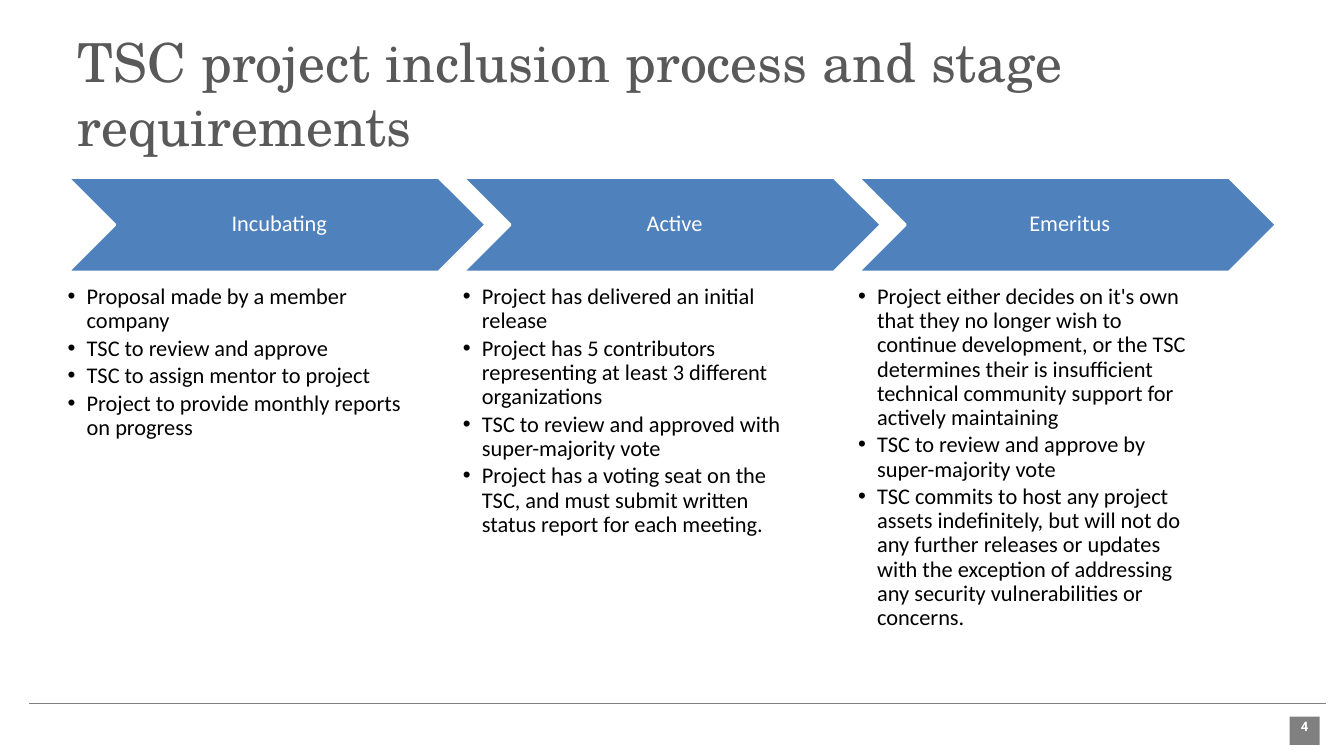
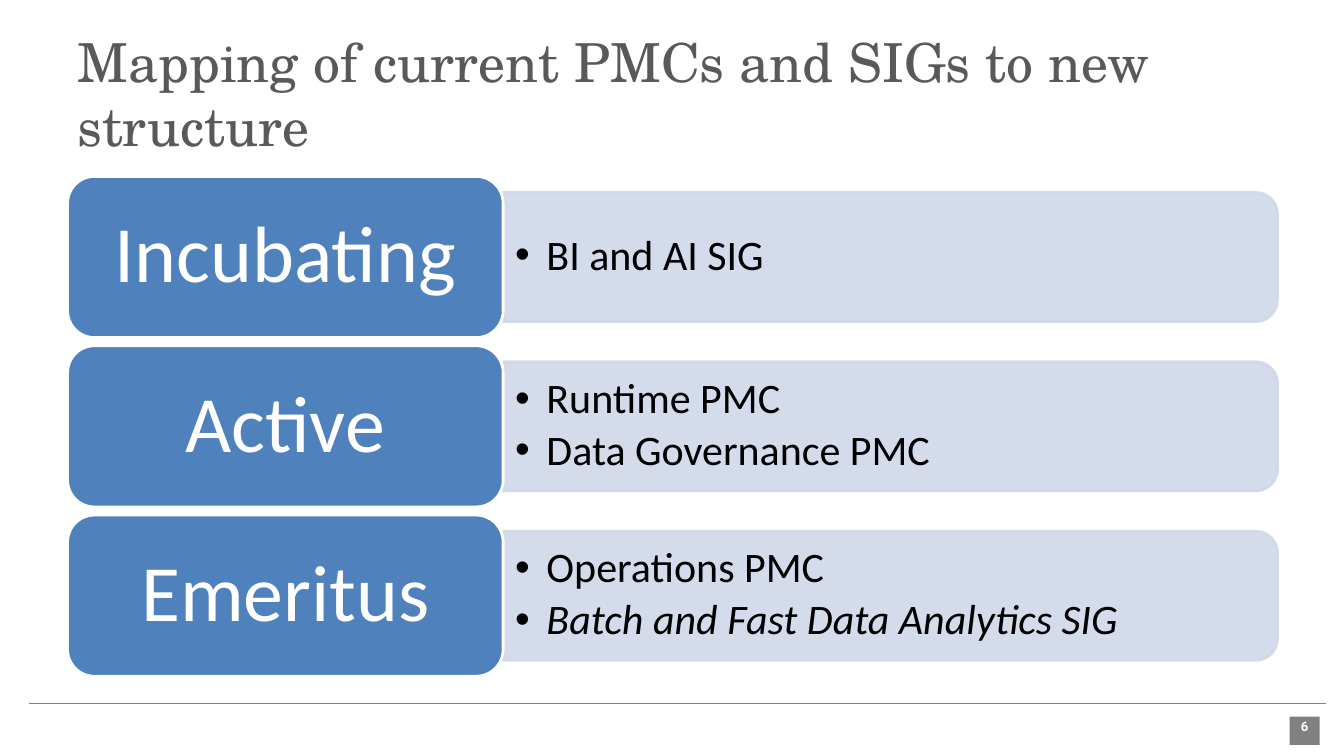
from lxml.etree import SubElement
from pptx import Presentation
from pptx.dml.color import RGBColor
from pptx.enum.shapes import MSO_CONNECTOR as Connector, MSO_SHAPE as Shape
from pptx.enum.text import MSO_ANCHOR as Anchor, MSO_AUTO_SIZE as AutoSize, PP_ALIGN as Align
from pptx.oxml.ns import qn
from pptx.util import Inches, Pt

BLUE = RGBColor(0x4F, 0x81, 0xBD)
PALE_BLUE = RGBColor(0xD0, 0xD8, 0xE8)
GRAY = RGBColor(0x80, 0x80, 0x80)
TITLE_GRAY = RGBColor(0x59, 0x59, 0x59)
WHITE = RGBColor(0xFF, 0xFF, 0xFF)
BLACK = RGBColor(0x00, 0x00, 0x00)
LEFT = 0.67

presentation = Presentation()
presentation.slide_width = Inches(13.33)
presentation.slide_height = Inches(7.5)


def write(shape, lines, size, color, insets, anchor=Anchor.MIDDLE, font="Calibri", bold=False, hang=0, italic_line=None):
    frame = shape.text_frame
    frame.word_wrap = True
    frame.auto_size = AutoSize.NONE
    frame.vertical_anchor = anchor
    frame.margin_left, frame.margin_top, frame.margin_right, frame.margin_bottom = map(Inches, insets)
    for index, line in enumerate(lines):
        paragraph = frame.paragraphs[0] if index == 0 else frame.add_paragraph()
        paragraph.alignment = Align.LEFT if hang else Align.CENTER
        paragraph.line_spacing = 0.9
        if hang:
            paragraph.space_after = Pt(size * 0.15)
            properties = paragraph._p.get_or_add_pPr()
            properties.set("marL", str(Inches(hang)))
            properties.set("indent", str(-Inches(hang)))
            SubElement(properties, qn("a:buFont"), typeface="Arial")
            SubElement(properties, qn("a:buChar"), char="•")
        run = paragraph.add_run()
        run.text = line
        run.font.name = font
        run.font.size = Pt(size)
        run.font.bold = bold
        run.font.italic = line == italic_line
        run.font.color.rgb = color


def add_slide(title, number):
    slide = presentation.slides.add_slide(presentation.slide_layouts[5])

    rule = slide.shapes.add_connector(Connector.STRAIGHT, Inches(0.29), Inches(6.98), Inches(13.15), Inches(6.98))
    rule.line.color.rgb = GRAY
    rule.line.width = Pt(0.75)
    SubElement(rule._element.spPr, qn("a:effectLst"))

    badge = slide.shapes.add_shape(Shape.RECTANGLE, Inches(12.79), Inches(7.11), Inches(0.3), Inches(0.28))
    badge.shadow.inherit = False
    badge.fill.solid()
    badge.fill.fore_color.rgb = GRAY
    badge.line.fill.background()
    write(badge, [number], 9.3, WHITE, (0, 0, 0, 0.06), font="Roboto", bold=True)

    heading = slide.shapes.title
    heading.left, heading.top = Inches(LEFT), Inches(0.3)
    heading.width, heading.height = Inches(12), Inches(1.25)
    heading.text_frame.auto_size = AutoSize.NONE
    heading.text_frame.vertical_anchor = Anchor.MIDDLE
    paragraph = heading.text_frame.paragraphs[0]
    paragraph.alignment = Align.LEFT
    run = paragraph.add_run()
    run.text = title
    run.font.name = "TeX Gyre Schola"
    run.font.size = Pt(38.4)
    run.font.color.rgb = TITLE_GRAY
    return slide


stages = [
    ("Incubating", [
        "Proposal made by a member company",
        "TSC to review and approve",
        "TSC to assign mentor to project",
        "Project to provide monthly reports on progress",
    ]),
    ("Active", [
        "Project has delivered an initial release",
        "Project has 5 contributors representing at least 3 different organizations",
        "TSC to review and approved with super-majority vote",
        "Project has a voting seat on the TSC, and must submit written status report for each meeting.",
    ]),
    ("Emeritus", [
        "Project either decides on it's own that they no longer wish to continue development, "
        "or the TSC determines their is insufficient technical community support for actively maintaining",
        "TSC to review and approve by super-majority vote",
        "TSC commits to host any project assets indefinitely, but will not do any further releases "
        "or updates with the exception of addressing any security vulnerabilities or concerns.",
    ]),
]
slide = add_slide("TSC project inclusion process and stage requirements", "4")
for column, (stage, requirements) in enumerate(stages):
    left = Inches(LEFT + column * 3.92)
    chevron = slide.shapes.add_shape(Shape.CHEVRON, left, Inches(1.76), Inches(4.15), Inches(0.94))
    chevron.shadow.inherit = False
    chevron.fill.solid()
    chevron.fill.fore_color.rgb = BLUE
    chevron.line.color.rgb = WHITE
    chevron.line.width = Pt(2)
    write(chevron, [stage], 16, WHITE, (0.07, 0.02, 0.02, 0.02))

    requirement_box = slide.shapes.add_textbox(left, Inches(2.83), Inches(3.32), Inches(3.86))
    write(requirement_box, requirements, 16, BLACK, (0, 0, 0, 0), Anchor.TOP, hang=0.19)

groups = [
    ("Incubating", ["BI and AI SIG"]),
    ("Active", ["Runtime PMC", "Data Governance PMC"]),
    ("Emeritus", ["Operations PMC", "Batch and Fast Data Analytics SIG"]),
]
slide = add_slide("Mapping of current PMCs and SIGs to new structure", "6")
for row, (stage, members) in enumerate(groups):
    offset = row * 1.68
    panel = slide.shapes.add_shape(
        Shape.ROUND_2_SAME_RECTANGLE, Inches(8.19), Inches(offset - 1.29), Inches(1.28), Inches(7.68))
    panel.rotation = 90
    panel.shadow.inherit = False
    panel.fill.solid()
    panel.fill.fore_color.rgb = PALE_BLUE
    panel.line.color.rgb = PALE_BLUE
    panel.line.width = Pt(2)
    for color in panel._element.spPr.iter(qn("a:srgbClr")):
        SubElement(color, qn("a:alpha"), val="90000")

    member_box = slide.shapes.add_textbox(Inches(4.99), Inches(1.97 + offset), Inches(7.62), Inches(1.15))
    write(member_box, members, 30, BLACK, (0.12, 0.06, 0.12, 0.06), hang=0.31,
          italic_line="Batch and Fast Data Analytics SIG")

    stage_box = slide.shapes.add_shape(
        Shape.ROUNDED_RECTANGLE, Inches(LEFT), Inches(1.75 + offset), Inches(4.32), Inches(1.6))
    stage_box.shadow.inherit = False
    stage_box.fill.solid()
    stage_box.fill.fore_color.rgb = BLUE
    stage_box.line.color.rgb = WHITE
    stage_box.line.width = Pt(2)
    write(stage_box, [stage], 57, WHITE, (0.24, 0.12, 0.24, 0.12))

presentation.save("out.pptx")
